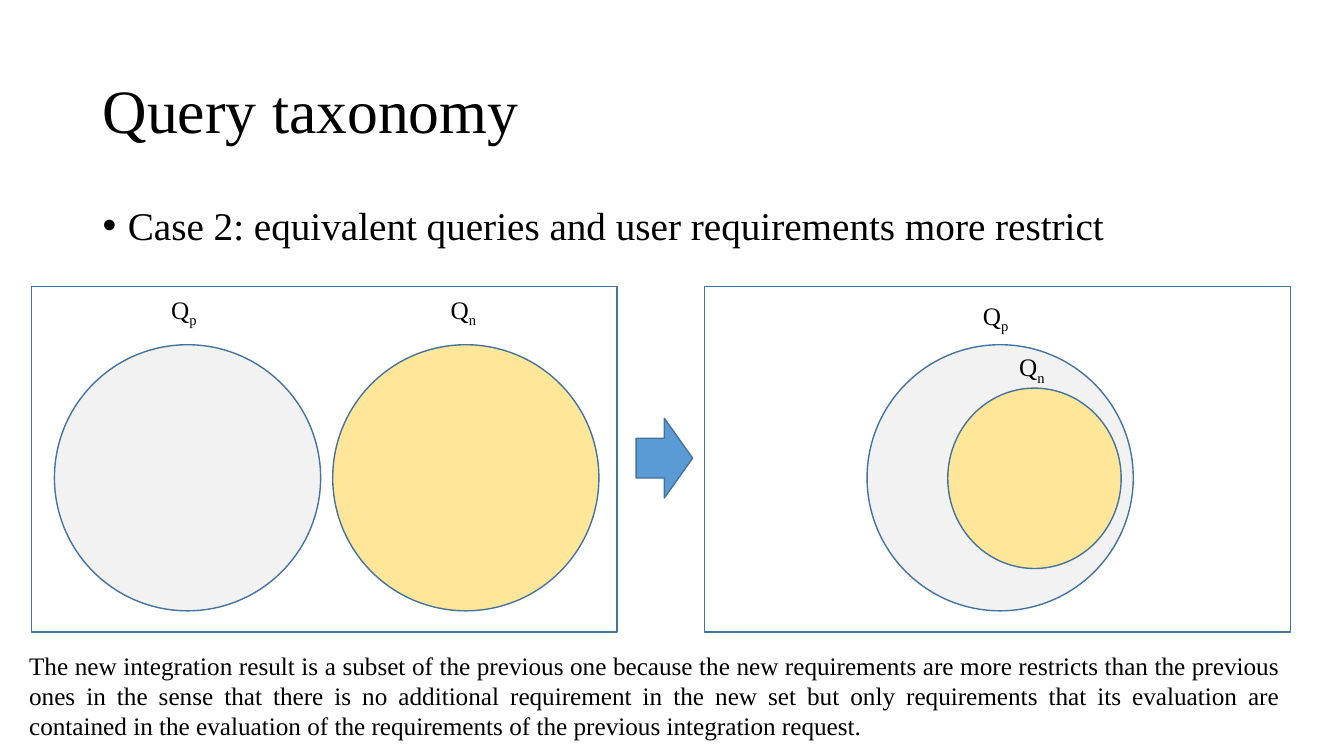
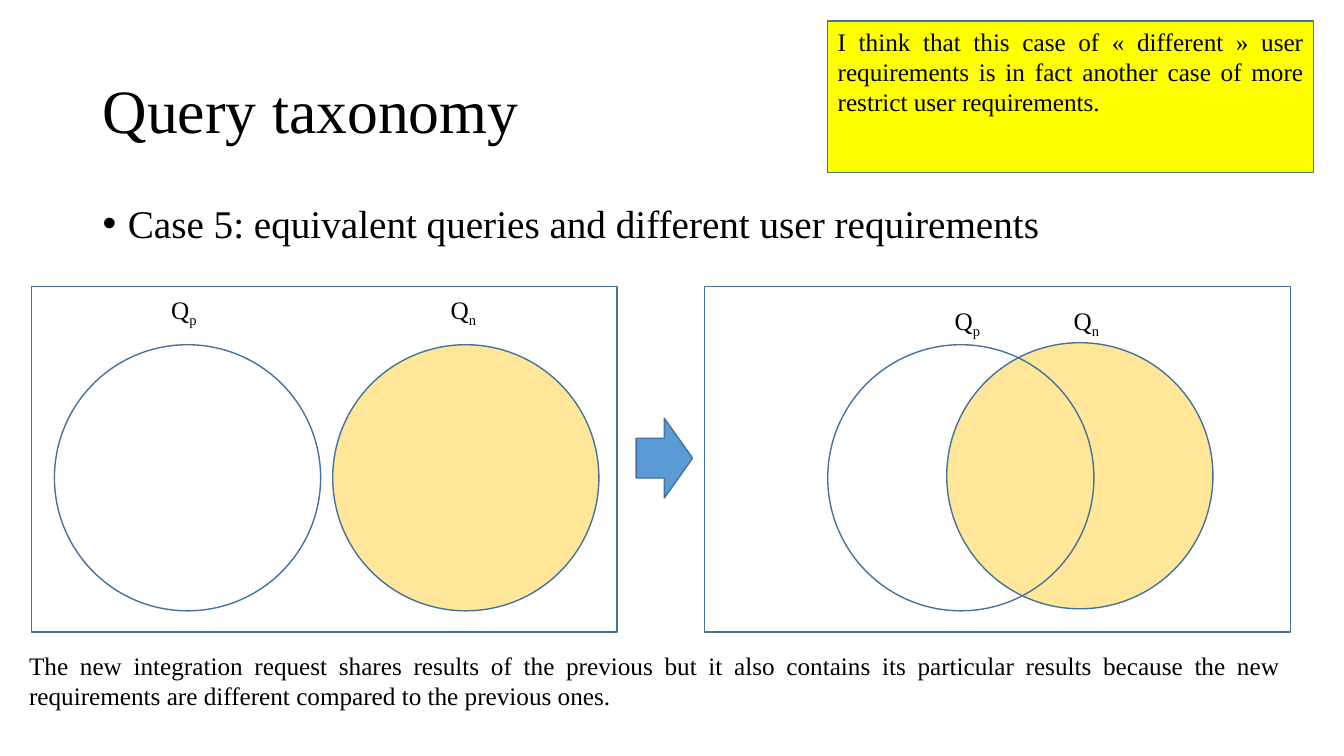
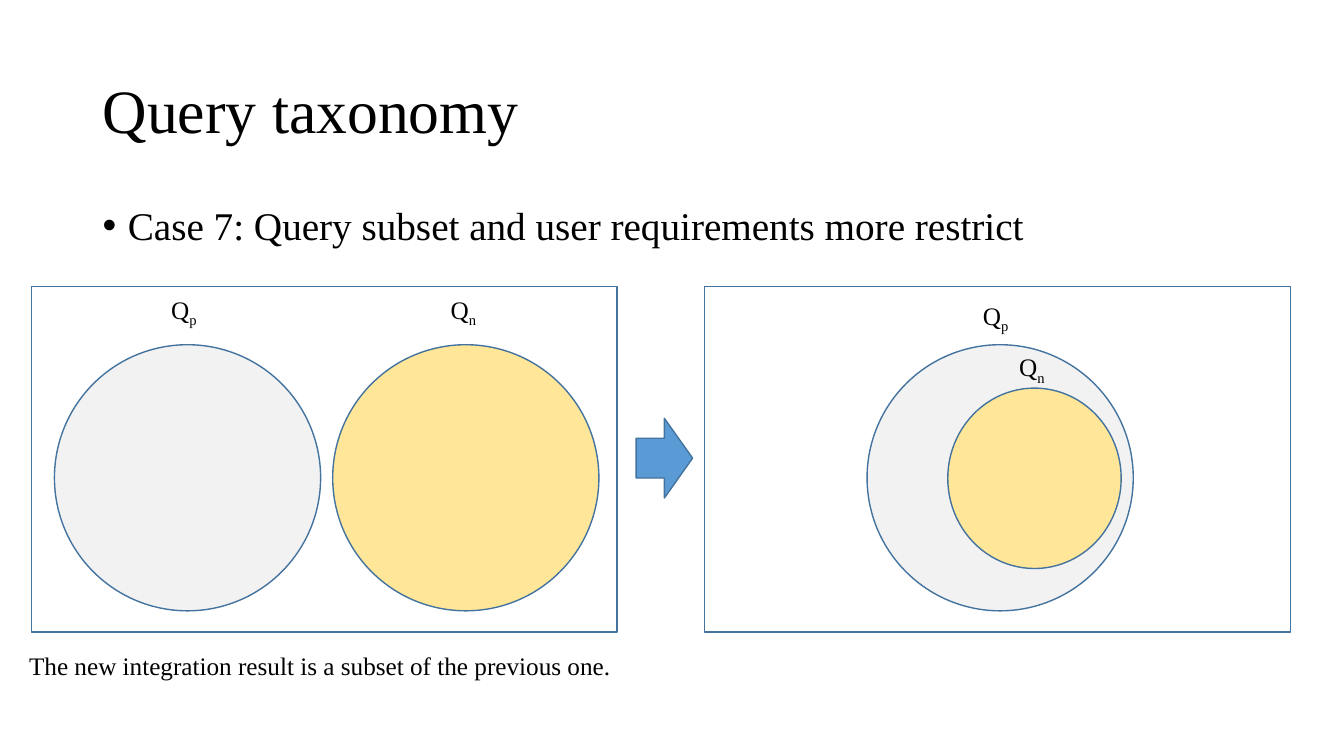
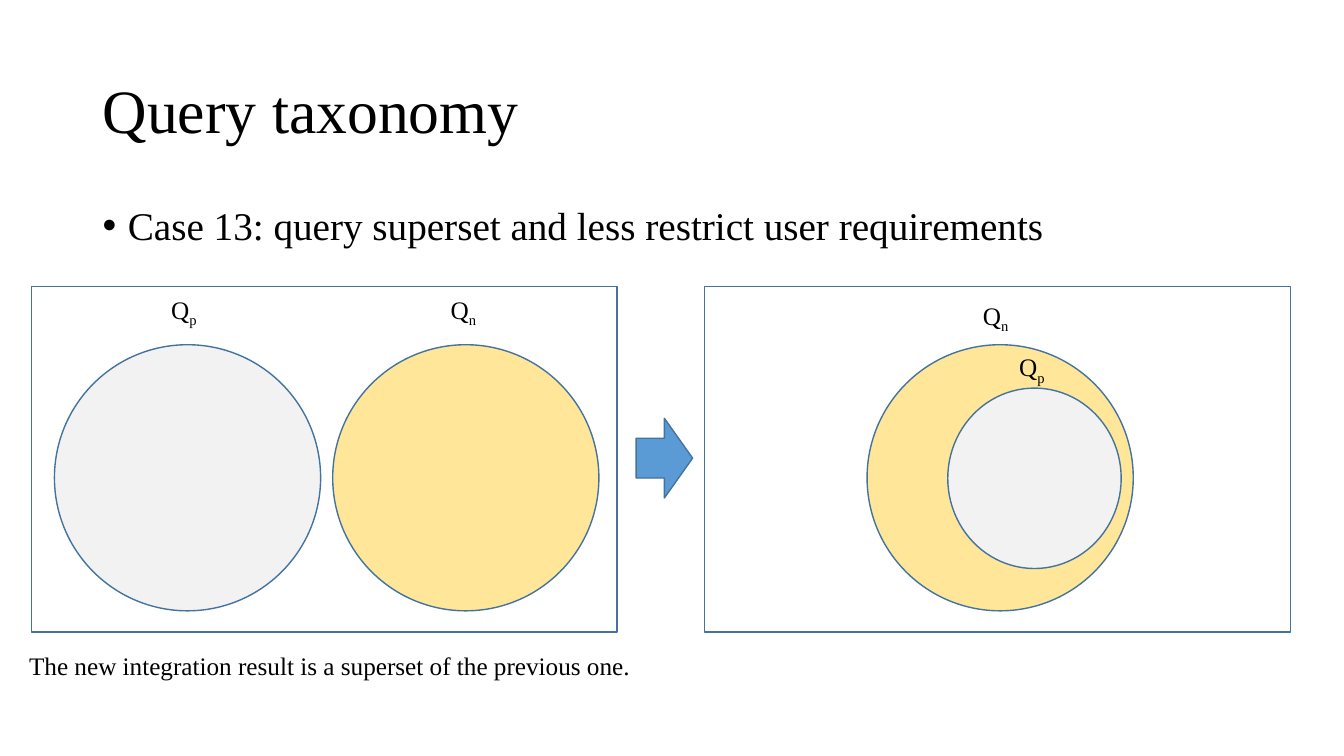
from dataclasses import dataclass
from typing import Any

from lxml.etree import SubElement
from pptx import Presentation
from pptx.dml.color import RGBColor
from pptx.enum.shapes import MSO_SHAPE as Preset
from pptx.enum.text import MSO_ANCHOR as Anchor, MSO_AUTO_SIZE as AutoSize, PP_ALIGN as Align
from pptx.oxml.ns import qn
from pptx.util import Inches, Pt

COLORS = {
    "ink": "000000",
    "outline": "43739E",
    "previous": "F2F2F2",
    "new": "FFE699",
    "arrow": "5B9BD5",
    "note": "FFFF00",
}
FONT = "Times New Roman"
TITLE = "Query taxonomy"
DIAMETER = 2.64
CIRCLE_TOP = 3.42
PANEL_TOP, PANEL_WIDTH, PANEL_HEIGHT = 2.84, 5.81, 3.43
LEFT_PANEL, RIGHT_PANEL = 0.31, 6.99

TITLE_FORMAT = {"line_spacing": 0.9}
CAPTION_FORMAT = {"alignment": Align.JUSTIFY}


@dataclass(frozen=True)
class Area:
    left: float
    top: float
    width: float
    height: float

    def lengths(self) -> list[Inches]:
        return [Inches(value) for value in (self.left, self.top, self.width, self.height)]


@dataclass(frozen=True)
class QuerySet:
    subscript: str
    fill: str | None
    area: Area
    label_left: float
    label_top: float


@dataclass(frozen=True)
class Case:
    heading: str
    caption: str
    caption_height: float
    before: list[QuerySet]
    after: list[QuerySet]
    heading_top: float = 2.0
    note: str = ""


def circle(left: float, top: float = CIRCLE_TOP) -> Area:
    return Area(left, top, DIAMETER, DIAMETER)


def separate(previous_fill: str | None = "previous") -> list[QuerySet]:
    return [
        QuerySet("p", previous_fill, circle(0.54), 1.6, 2.87),
        QuerySet("n", "new", circle(3.3), 4.37, 2.87),
    ]


def nested(outer: str, outer_fill: str, inner: str, inner_fill: str) -> list[QuerySet]:
    return [
        QuerySet(outer, outer_fill, circle(8.6), 9.65, 2.93),
        QuerySet(inner, inner_fill, Area(9.4, 3.85, 1.72, 1.79), 10.01, 3.44),
    ]


def overlapping() -> list[QuerySet]:
    return [
        QuerySet("n", "new", circle(9.39, 3.4), 10.55, 2.98),
        QuerySet("p", None, circle(8.21), 9.37, 2.98),
    ]


CASES = [
    Case(
        "Case 2: equivalent queries and user requirements more restrict",
        "The new integration result is a subset of the previous one because the new "
        "requirements are more restricts than the previous ones in the sense that there is "
        "no additional requirement in the new set but only requirements that its evaluation "
        "are contained in the evaluation of the requirements of the previous integration "
        "request.",
        1.01,
        separate(),
        nested("p", "previous", "n", "new"),
    ),
    Case(
        "Case 5: equivalent queries and different user requirements",
        "The new integration request shares results of the previous but it also contains its "
        "particular results because the new requirements are different compared to the "
        "previous ones.",
        0.71,
        separate(None),
        overlapping(),
        heading_top=1.98,
        note="I think that this case of « different » user requirements is in fact another "
        "case of more restrict user requirements.",
    ),
    Case(
        "Case 7: Query subset and user requirements more restrict",
        "The new integration result is a subset of the previous one.",
        0.4,
        separate(),
        nested("p", "previous", "n", "new"),
    ),
    Case(
        "Case 13: query superset and less restrict user requirements",
        "The new integration result is a superset of the previous one.",
        0.4,
        separate(),
        nested("n", "new", "p", "previous"),
    ),
]


def apply(target: Any, formats: dict[str, Any]) -> None:
    for name, value in formats.items():
        setattr(target, name, value)


def add_span(para: Any, text: str, size: float) -> Any:
    span = para.add_run()
    span.text = text
    apply(span.font, {"name": FONT, "size": Pt(size)})
    span.font.color.rgb = RGBColor.from_string(COLORS["ink"])
    return span


def add_text(shapes: Any, area: Area, text: str, size: float,
             para_format: dict[str, Any], anchor: Any = Anchor.TOP) -> Any:
    box = shapes.add_textbox(*area.lengths())
    apply(box.text_frame, {"word_wrap": True, "vertical_anchor": anchor})
    para = box.text_frame.paragraphs[0]
    apply(para, para_format)
    add_span(para, text, size)
    return box


def add_bullet(para: Any) -> None:
    properties = para._p.get_or_add_pPr()
    properties.set("marL", str(Inches(0.25)))
    properties.set("indent", str(Inches(-0.25)))
    SubElement(properties, qn("a:buFont"), typeface="Arial")
    SubElement(properties, qn("a:buChar"), char="•")


def add_outlined(shapes: Any, preset: Any, area: Area, fill: str | None = None) -> Any:
    shape = shapes.add_shape(preset, *area.lengths())
    shape.shadow.inherit = False
    if fill:
        shape.fill.solid()
        shape.fill.fore_color.rgb = RGBColor.from_string(COLORS[fill])
    else:
        shape.fill.background()
    shape.line.color.rgb = RGBColor.from_string(COLORS["outline"])
    shape.line.width = Pt(1)
    return shape


def add_label(shapes: Any, query: QuerySet) -> None:
    area = Area(query.label_left, query.label_top, 0.49, 0.4)
    box = add_text(shapes, area, "Q", 18, {})
    apply(box.text_frame, {"word_wrap": False, "auto_size": AutoSize.SHAPE_TO_FIT_TEXT})
    span = add_span(box.text_frame.paragraphs[0], query.subscript, 18)
    span._r.get_or_add_rPr().set("baseline", "-25000")


def add_panel(shapes: Any, left: float, queries: list[QuerySet]) -> None:
    for query in queries:
        add_outlined(shapes, Preset.OVAL, query.area, query.fill)
    add_outlined(shapes, Preset.RECTANGLE, Area(left, PANEL_TOP, PANEL_WIDTH, PANEL_HEIGHT))
    for query in queries:
        add_label(shapes, query)


def add_note(shapes: Any, text: str) -> None:
    note = add_outlined(shapes, Preset.RECTANGLE, Area(8.21, 0.21, 4.82, 1.5), "note")
    apply(note.text_frame, {"word_wrap": True, "vertical_anchor": Anchor.TOP})
    para = note.text_frame.paragraphs[0]
    apply(para, CAPTION_FORMAT)
    add_span(para, text, 18)


def add_case(deck: Any, case: Case) -> None:
    page = deck.slides.add_slide(deck.slide_layouts[6])
    shapes = page.shapes
    add_text(shapes, Area(0.92, 0.4, 11.5, 1.45), TITLE, 44, TITLE_FORMAT, Anchor.MIDDLE)
    heading = add_text(shapes, Area(0.92, case.heading_top, 11.5, 4.76), case.heading, 28,
                       TITLE_FORMAT)
    add_bullet(heading.text_frame.paragraphs[0])
    add_panel(shapes.add_group_shape().shapes, LEFT_PANEL, case.before)
    add_panel(shapes, RIGHT_PANEL, case.after)
    add_outlined(shapes, Preset.RIGHT_ARROW, Area(6.31, 4.15, 0.56, 0.79), "arrow")
    caption = add_text(shapes, Area(0.19, 6.4, 12.61, case.caption_height), case.caption, 18,
                       CAPTION_FORMAT)
    caption.text_frame.auto_size = AutoSize.SHAPE_TO_FIT_TEXT
    if case.note:
        add_note(shapes, case.note)


def main() -> None:
    deck = Presentation()
    apply(deck, {"slide_width": Inches(13.33), "slide_height": Inches(7.5)})
    for case in CASES:
        add_case(deck, case)
    deck.save("out.pptx")


if __name__ == "__main__":
    main()
